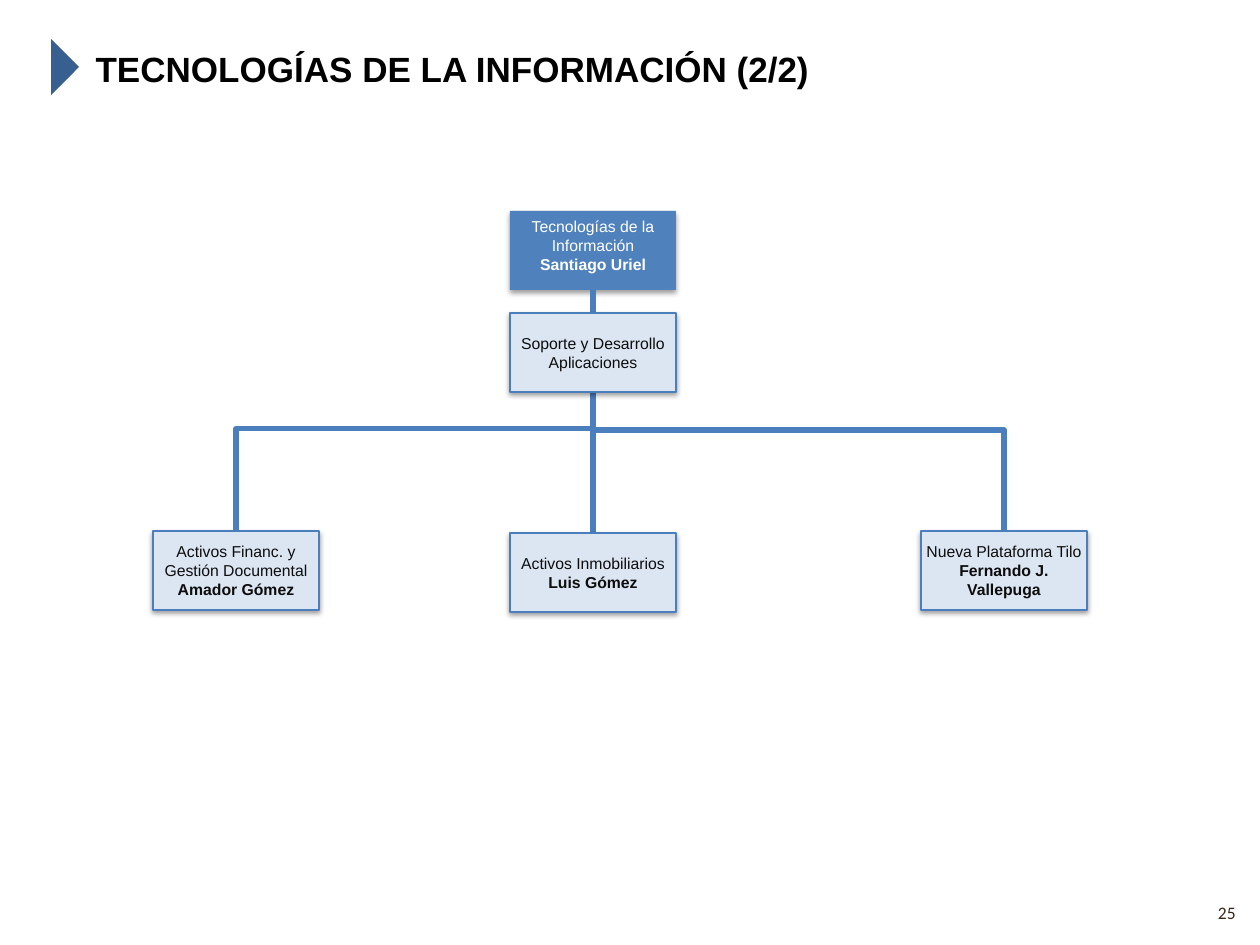
"""Builds an organisation chart slide for the IT department."""
from lxml import etree
from pptx import Presentation, util as u
from pptx.dml.color import RGBColor
from pptx.enum import shapes, text
from pptx.oxml.ns import qn

PX = 914400 / 126
BLUE = RGBColor(0x4F, 0x81, 0xBD)
LINE = RGBColor(0x4B, 0x7E, 0xBC)
PALE = RGBColor(0xDC, 0xE6, 0xF2)
NAVY = RGBColor(0x37, 0x60, 0x91)
BLACK = RGBColor(0, 0, 0)
DARK = RGBColor(0x0D, 0x0D, 0x0D)
BROWN = RGBColor(0x35, 0x26, 0x1A)
WHITE = RGBColor(0xFF, 0xFF, 0xFF)
WIDE, HIGH = 166, 79


def px(*vals):
    return [u.Emu(round(v * PX)) for v in vals]


def style(para, size, color, bold=False, name="Arial"):
    font = para.font
    font.name, font.size, font.bold = name, u.Pt(size), bold
    font.color.rgb = color


def add_title(slide, words):
    title = slide.shapes.title
    title.left, title.top, title.width, title.height = px(83, 39, 1128, 55)
    frame = title.text_frame
    frame.text = words
    frame.vertical_anchor = text.MSO_ANCHOR.MIDDLE
    frame.auto_size = text.MSO_AUTO_SIZE.SHAPE_TO_FIT_TEXT
    para = frame.paragraphs[0]
    para.alignment = text.PP_ALIGN.LEFT
    para.line_spacing = 1.1
    style(para, 20, BLACK, True)


def add_mark(slide):
    kind = shapes.MSO_SHAPE.ISOSCELES_TRIANGLE
    mark = slide.shapes.add_shape(kind, *px(37, 53, 56, 28))
    mark.rotation = 90
    mark.shadow.inherit = False
    mark.fill.solid()
    mark.fill.fore_color.rgb = NAVY
    mark.line.fill.background()


def add_number(slide, words):
    box = slide.shapes.add_textbox(*px(954, 888, 294, 50))
    frame = box.text_frame
    frame.word_wrap = True
    frame.vertical_anchor = text.MSO_ANCHOR.MIDDLE
    frame.text = words
    para = frame.paragraphs[0]
    para.alignment = text.PP_ALIGN.RIGHT
    style(para, 10, BROWN, name="Calibri")


def add_shade(shape):
    shape.shadow.inherit = False
    effects = shape._element.spPr.find(qn("a:effectLst"))
    shade = etree.SubElement(effects, qn("a:outerShdw"), blurRad="40000",
                             dist="20000", dir="5400000", rotWithShape="0")
    color = etree.SubElement(shade, qn("a:srgbClr"), val="000000")
    etree.SubElement(color, qn("a:alpha"), val="38000")


def add_unit(slide, left, top, unit, person=None, head=False):
    box = slide.shapes.add_shape(shapes.MSO_SHAPE.RECTANGLE,
                                 *px(left, top, WIDE, HIGH))
    add_shade(box)
    box.fill.solid()
    box.fill.fore_color.rgb = BLUE if head else PALE
    if head:
        box.line.fill.background()
    else:
        box.line.color.rgb = LINE
        box.line.width = u.Pt(0.75)
    frame = box.text_frame
    frame.word_wrap = True
    frame.margin_left = frame.margin_right = u.Inches(0.04 if head else 0)
    anchor = text.MSO_ANCHOR
    frame.vertical_anchor = anchor.TOP if head else anchor.MIDDLE
    frame.text = f"{unit}\n{person}" if person else unit
    for i, para in enumerate(frame.paragraphs):
        para.alignment = text.PP_ALIGN.CENTER
        style(para, 9, WHITE if head else DARK, i > 0)
    return box


def add_link(slide, kind, *ends):
    link = slide.shapes.add_connector(kind, *px(*ends))
    link.line.color.rgb = LINE
    link.line.width = u.Pt(3)
    etree.SubElement(link._element.spPr, qn("a:effectLst"))
    return link


def add_elbows(slide):
    kind = shapes.MSO_CONNECTOR.ELBOW
    right = add_link(slide, kind, 593, 430, 1004, 531)
    right._element.spPr.find(qn("a:prstGeom")).set("prst", "bentConnector2")
    left = add_link(slide, kind, 294, 232, 535, 589)
    props = left._element.spPr
    props.find(qn("a:xfrm")).set("rot", "5400000")
    guides = props.find(qn("a:prstGeom")).get_or_add_avLst()
    etree.SubElement(guides, qn("a:gd"), name="adj1", fmla="val 57500")


def main():
    deck = Presentation()
    deck.slide_width, deck.slide_height = u.Inches(10), u.Inches(7.5)
    slide = deck.slides.add_slide(deck.slide_layouts[5])
    add_mark(slide)
    add_title(slide, "TECNOLOGÍAS DE LA INFORMACIÓN (2/2)")
    add_number(slide, "25")
    stem = add_link(slide, shapes.MSO_CONNECTOR.STRAIGHT, 593, 430, 593, 533)
    estate = add_unit(slide, 510, 533, "Activos Inmobiliarios", "Luis Gómez")
    stem.end_connect(estate, 0)
    add_unit(slide, 153, 531, "Activos Financ. y Gestión Documental",
             "Amador Gómez")
    add_unit(slide, 921, 531, "Nueva Plataforma Tilo", "Fernando J. Vallepuga")
    add_unit(slide, 510, 211, "Tecnologías de la Información",
             "Santiago Uriel", head=True)
    add_elbows(slide)
    add_unit(slide, 510, 313, "Soporte y Desarrollo Aplicaciones")
    deck.save("out.pptx")


if __name__ == "__main__":
    main()
